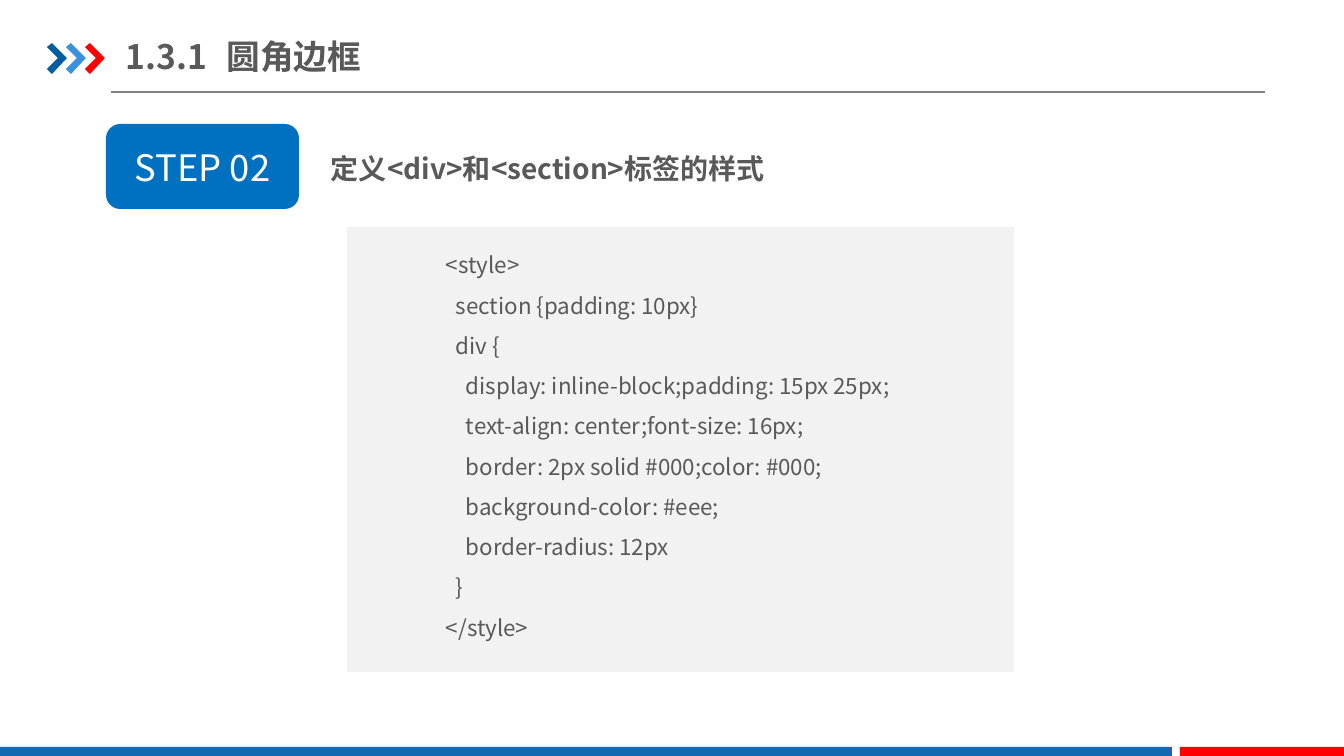
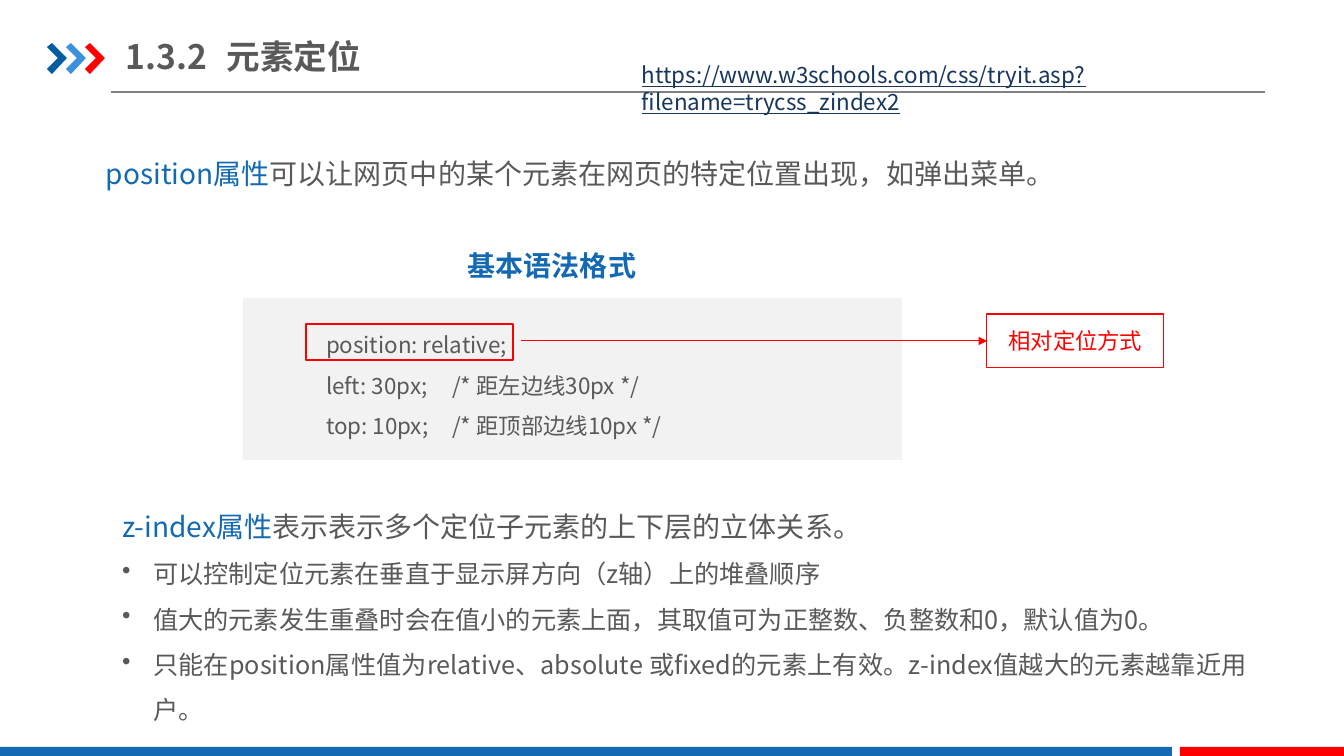
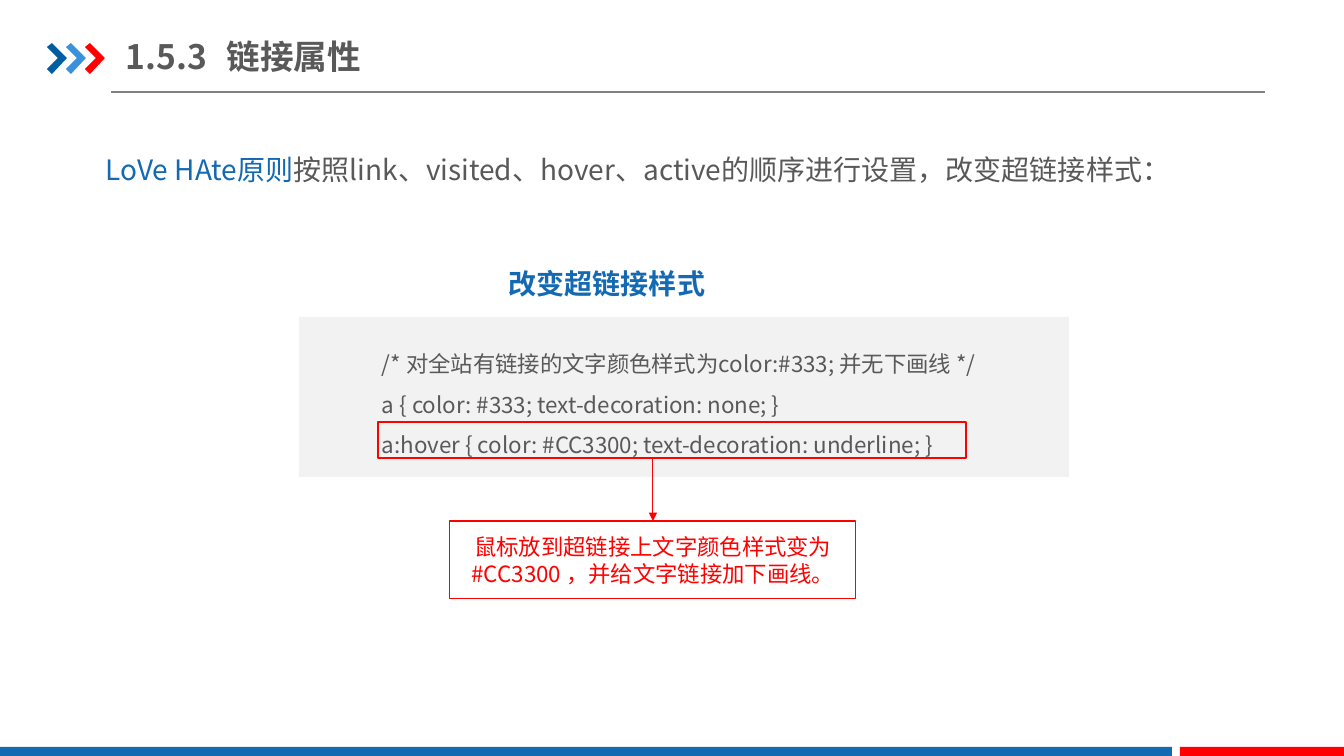
import pptx
import pptx.dml.color
import pptx.enum.shapes
import pptx.enum.text
import pptx.oxml.ns
import pptx.util
from lxml import etree

RGBColor = pptx.dml.color.RGBColor
SHAPE = pptx.enum.shapes.MSO_SHAPE
ALIGN = pptx.enum.text.PP_ALIGN
ANCHOR = pptx.enum.text.MSO_ANCHOR
qn = pptx.oxml.ns.qn

EMU_PER_PX = 914400 / 100.8
FONT = "Noto Sans CJK SC"

BLUE = RGBColor(0x13, 0x69, 0xB2)
DARK_BLUE = RGBColor(0x00, 0x5D, 0xA2)
LIGHT_BLUE = RGBColor(0x39, 0x92, 0xDB)
STEP_BLUE = RGBColor(0x00, 0x70, 0xC0)
LINK_BLUE = RGBColor(0x17, 0x36, 0x5D)
RED = RGBColor(0xFF, 0x00, 0x00)
GRAY = RGBColor(0x59, 0x59, 0x59)
RULE_GRAY = RGBColor(0x80, 0x80, 0x80)
PANEL_GRAY = RGBColor(0xF2, 0xF2, 0xF2)
WHITE = RGBColor(0xFF, 0xFF, 0xFF)


def px(length):
    return pptx.util.Emu(round(length * EMU_PER_PX))


class Deck:
    """The shared style and the slide being filled."""

    def __init__(self):
        self.presentation = pptx.Presentation()
        self.presentation.slide_width = px(1344)
        self.presentation.slide_height = px(756)
        self.slide = None

    def start_slide(self, number, name, title_width=429):
        layout = self.presentation.slide_layouts[5]
        self.slide = self.presentation.slides.add_slide(layout)
        self.box(0, 747, 1172, 9, fill=BLUE)
        self.box(1180, 747, 164, 9, fill=RED)
        self.line((111, 92), (1265, 92), RULE_GRAY)
        for index, color in enumerate((DARK_BLUE, LIGHT_BLUE, RED)):
            self.chevron(47 + 19 * index, color)

        title = self.slide.shapes.title
        title.left, title.top = px(126), px(29)
        title.width, title.height = px(title_width), px(55)
        frame = self.prepare(title.text_frame, 0, 7)
        frame.vertical_anchor = ANCHOR.MIDDLE
        self.add_lines(frame, [f"{number}\t{name}"], 24, bold=True, spacing=1, tab=105)

    def prepare(self, frame, inset_x=10, inset_y=5):
        frame.word_wrap = True
        frame.auto_size = pptx.enum.text.MSO_AUTO_SIZE.NONE
        frame.margin_left = frame.margin_right = px(inset_x)
        frame.margin_top = frame.margin_bottom = px(inset_y)
        return frame

    def add_lines(self, frame, lines, size, color=GRAY, bold=False, align=ALIGN.LEFT,
                  spacing=1.5, indent=0, tab=None, bullet=False, underline=False):
        """Append one paragraph per line; a (term, rest) pair gets a blue term."""
        for line in lines:
            paragraph = frame.add_paragraph() if frame.text else frame.paragraphs[0]
            paragraph.alignment = align
            paragraph.line_spacing = spacing
            properties = paragraph._p.get_or_add_pPr()
            properties.set("marL", str(px(31) if bullet else 0))
            properties.set("indent", str(px(-31 if bullet else indent)))
            if bullet:
                etree.SubElement(properties, qn("a:buChar"), char="•")
            if tab:
                stops = etree.SubElement(properties, qn("a:tabLst"))
                etree.SubElement(stops, qn("a:tab"), pos=str(px(tab)), algn="l")

            font = paragraph.font
            font.name, font.size, font.bold = FONT, pptx.util.Pt(size), bold
            font.color.rgb = color
            font.underline = underline
            defaults = properties.find(qn("a:defRPr"))
            etree.SubElement(defaults, qn("a:ea"), typeface=FONT)

            if isinstance(line, tuple):
                term, rest = line
                run = paragraph.add_run()
                run.text = term
                run.font.color.rgb = BLUE
                paragraph.add_run().text = rest
            else:
                paragraph.text = line

    def text(self, left, top, width, height, lines, size, insets=(10, 5), **style):
        shape = self.slide.shapes.add_textbox(px(left), px(top), px(width), px(height))
        frame = self.prepare(shape.text_frame, *insets)
        self.add_lines(frame, lines, size, **style)
        return frame

    def statement(self, left, top, height, term, rest):
        return self.text(left, top, 1151, height, [(term, rest)], 20,
                         insets=(13, 7), align=ALIGN.JUSTIFY)

    def caption(self, left, top, words):
        self.text(left, top, 590, 58, [words], 20, color=BLUE, bold=True,
                  align=ALIGN.CENTER)

    def paint(self, shape, fill=None, line=None, weight=0.75):
        shape.shadow.inherit = False
        if fill is None:
            shape.fill.background()
        else:
            shape.fill.solid()
            shape.fill.fore_color.rgb = fill
        if line is None:
            shape.line.fill.background()
        else:
            shape.line.color.rgb = line
            shape.line.width = pptx.util.Pt(weight)

    def box(self, left, top, width, height, kind=SHAPE.RECTANGLE, **look):
        shape = self.slide.shapes.add_shape(
            kind, px(left), px(top), px(width), px(height))
        self.paint(shape, **look)
        return shape

    def label(self, shape, words, size, color):
        frame = self.prepare(shape.text_frame)
        frame.vertical_anchor = ANCHOR.MIDDLE
        self.add_lines(frame, [words], size, color=color, align=ALIGN.CENTER, spacing=1)

    def highlight(self, left, top, width):
        self.box(left, top, width, 36, line=RED, weight=2)

    def callout(self, left, top, width, height, words):
        shape = self.box(left, top, width, height, line=RED)
        self.label(shape, words, 16, RED)
        return shape

    def chevron(self, left, color):
        points = [(0, 47), (5, 43), (20, 58), (5, 74), (0, 69), (11, 58)]
        points = [(left + x, y) for x, y in points]
        builder = self.slide.shapes.build_freeform(*points[0], scale=EMU_PER_PX)
        builder.add_line_segments(points[1:], close=True)
        self.paint(builder.convert_to_shape(), fill=color)

    def line(self, start, end, color):
        connector = self.slide.shapes.add_connector(
            pptx.enum.shapes.MSO_CONNECTOR.STRAIGHT,
            *(px(value) for value in start + end))
        connector.line.color.rgb = color
        connector.line.width = pptx.util.Pt(0.75)
        etree.SubElement(connector._element.spPr, qn("a:effectLst"))
        return connector

    def arrow(self, start, end, target, side):
        connector = self.line(start, end, RED)
        connector.end_connect(target, side)
        outline = connector._element.spPr.find(qn("a:ln"))
        etree.SubElement(outline, qn("a:tailEnd"), type="triangle")


def rounded_border(deck):
    deck.start_slide("1.3.1", "圆角边框")
    deck.box(347, 227, 667, 445, fill=PANEL_GRAY)
    deck.text(426, 233, 496, 417, [
        "  <style>",
        "    section {padding: 10px}",
        "    div {",
        "      display: inline-block;padding: 15px 25px;",
        "      text-align: center;font-size: 16px;",
        "      border: 2px solid #000;color: #000;",
        "      background-color: #eee;",
        "      border-radius: 12px",
        "    }",
        "  </style>",
    ], 16)
    step = deck.box(106, 124, 193, 85, SHAPE.ROUNDED_RECTANGLE, fill=STEP_BLUE)
    deck.label(step, "STEP 02", 26, WHITE)
    deck.text(321, 130, 691, 55, ["定义<div>和<section>标签的样式"], 20, bold=True)


def element_position(deck):
    deck.start_slide("1.3.2", "元素定位", title_width=522)
    deck.statement(93, 133, 65, "position属性",
                   "可以让网页中的某个元素在网页的特定位置出现，如弹出菜单。")
    deck.box(243, 298, 659, 162, fill=PANEL_GRAY)
    code = deck.text(291, 313, 638, 132, ["position: relative;"], 16, indent=25)
    deck.add_lines(code, ["left: 30px;\t/* 距左边线30px */"], 16, indent=25, tab=269)
    deck.add_lines(code, ["top: 10px;\t/* 距顶部边线10px */"], 16, indent=25, tab=134)
    deck.highlight(306, 324, 207)
    method = deck.callout(987, 314, 177, 54, "相对定位方式")
    deck.arrow((521, 341), (987, 341), method, 1)
    deck.caption(257, 227, "基本语法格式")
    notes = deck.statement(109, 486, 248, "z-index属性",
                           "表示表示多个定位子元素的上下层的立体关系。")
    deck.add_lines(notes, [
        "可以控制定位元素在垂直于显示屏方向（z轴）上的堆叠顺序",
        "值大的元素发生重叠时会在值小的元素上面，其取值可为正整数、负整数和0，默认值为0。",
        "只能在position属性值为relative、absolute 或fixed的元素上有效。z-index值越大的元素越靠近用户。",
    ], 18, align=ALIGN.JUSTIFY, bullet=True)
    deck.text(632, 56, 635, 37,
              ["https://www.w3schools.com/css/tryit.asp?filename=trycss_zindex2"],
              16, color=LINK_BLUE, spacing=1, underline=True)


def link_style(deck):
    deck.start_slide("1.5.3", "链接属性")
    deck.statement(93, 129, 58, "LoVe HAte原则",
                   "按照link、visited、hover、active的顺序进行设置，改变超链接样式：")
    deck.box(299, 317, 770, 160, fill=PANEL_GRAY)
    deck.text(347, 332, 714, 132, [
        "/* 对全站有链接的文字颜色样式为color:#333; 并无下画线 */",
        "a { color: #333; text-decoration: none; }",
        "a:hover { color: #CC3300; text-decoration: underline; }",
    ], 16, indent=25)
    deck.highlight(378, 422, 588)
    effect = deck.callout(450, 521, 406, 78,
                          "鼠标放到超链接上文字颜色样式变为#CC3300 ，并给文字链接加下画线。")
    deck.arrow((653, 459), (653, 521), effect, 0)
    deck.caption(312, 245, "改变超链接样式")


def main():
    deck = Deck()
    rounded_border(deck)
    element_position(deck)
    link_style(deck)
    deck.presentation.save("out.pptx")


if __name__ == "__main__":
    main()
